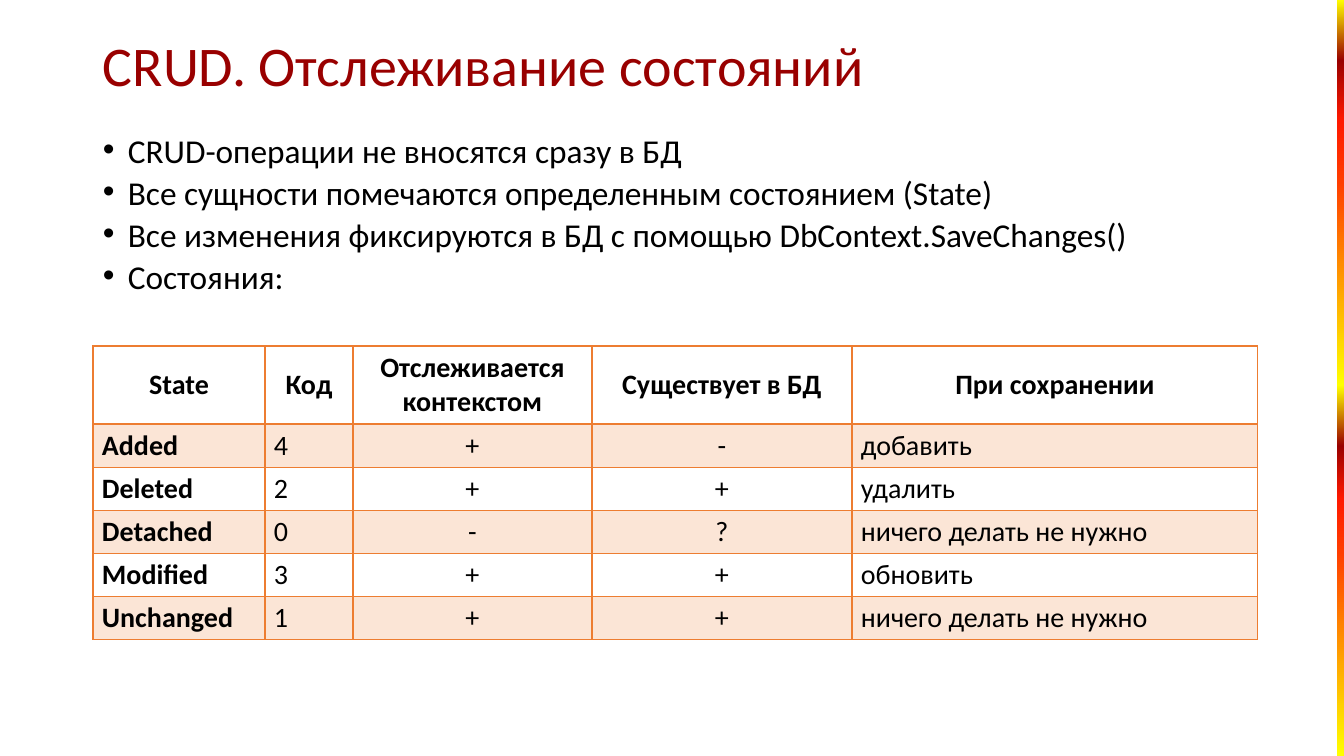
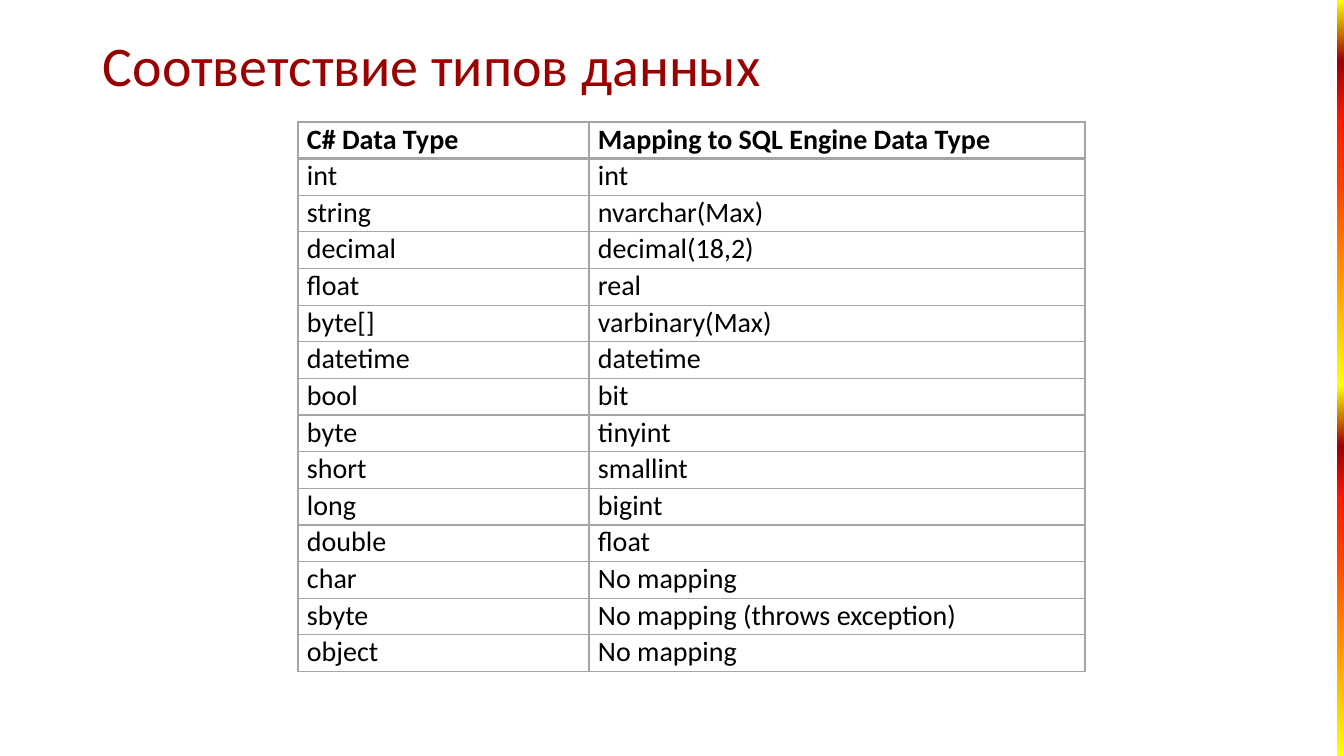
from lxml.etree import SubElement
from pptx import Presentation
from pptx.dml.color import RGBColor
from pptx.enum.shapes import MSO_SHAPE
from pptx.enum.text import MSO_ANCHOR, PP_ALIGN
from pptx.oxml.ns import qn
from pptx.util import Emu, Pt

FONT = "Calibri"
BLACK = RGBColor(0x00, 0x00, 0x00)
DARK_RED = RGBColor(0x99, 0x00, 0x00)
RED = RGBColor(0xFF, 0x19, 0x00)
FLAME = RGBColor(0xFF, 0x3D, 0x00)
YELLOW = RGBColor(0xFF, 0xFF, 0x00)
ORANGE = RGBColor(0xED, 0x7D, 0x31)
PALE_ORANGE = RGBColor(0xFB, 0xE5, 0xD6)
GRAY = RGBColor(0xA5, 0xA5, 0xA5)

SLIDE_WIDTH, SLIDE_HEIGHT = 1344, 756
BAND_WIDTH = 7
TEXT_LEFT, TEXT_WIDTH = 93, 1159
BAND_STOPS = [(0, YELLOW), (8, DARK_RED), (16, RED), (24, FLAME), (51, YELLOW),
              (59, DARK_RED), (66, RED), (73, FLAME), (100, YELLOW)]


def px(length):
    return Emu(round(length * 914400 / 100.8))


def add_grid(slide, left, top, column_widths, row_heights, rows, line_color,
             stripe=None, centered=(), header_align=PP_ALIGN.LEFT,
             bold_column=None, line_spacing=1.0, margins=(4, 4)):
    frame = slide.shapes.add_table(len(rows), len(column_widths), px(left), px(top),
                                   px(sum(column_widths)), px(sum(row_heights)))
    table = frame.table
    table.first_row = table.horz_banding = False
    for column, width in zip(table.columns, column_widths):
        column.width = px(width)
    for row, height in zip(table.rows, row_heights):
        row.height = px(height)
    for row_index, texts in enumerate(rows):
        header = row_index == 0
        for column_index, text in enumerate(texts):
            cell = table.cell(row_index, column_index)
            cell.vertical_anchor = MSO_ANCHOR.MIDDLE
            cell.margin_left = cell.margin_right = px(9)
            cell.margin_top, cell.margin_bottom = map(px, margins)
            cell.text_frame.text = text
            paragraph = cell.text_frame.paragraphs[0]
            paragraph.line_spacing = line_spacing
            if header:
                paragraph.alignment = header_align
            elif column_index in centered:
                paragraph.alignment = PP_ALIGN.CENTER
            font = paragraph.runs[0].font
            font.name, font.size = FONT, Pt(20)
            font.bold = header or column_index == bold_column
            font.color.rgb = BLACK

            # Borders, heavier below the header
            properties = cell._tc.get_or_add_tcPr()
            for side in ("lnL", "lnR", "lnT", "lnB"):
                heavy = (row_index, side) in ((0, "lnB"), (1, "lnT"))
                line = SubElement(properties, qn(f"a:{side}"), w=str(Pt(2 if heavy else 1)))
                solid = SubElement(line, qn("a:solidFill"))
                SubElement(solid, qn("a:srgbClr"), val=str(line_color))
            if stripe and row_index % 2:
                cell.fill.solid()
                cell.fill.fore_color.rgb = stripe
            else:
                cell.fill.background()


presentation = Presentation()
presentation.slide_width = px(SLIDE_WIDTH)
presentation.slide_height = px(SLIDE_HEIGHT)

# Shared band and title
slides = []
for title in ("CRUD. Отслеживание состояний", "Соответствие типов данных"):
    slide = presentation.slides.add_slide(presentation.slide_layouts[6])
    slides.append(slide)

    band = slide.shapes.add_shape(MSO_SHAPE.RECTANGLE, px(SLIDE_WIDTH - BAND_WIDTH), 0,
                                  px(BAND_WIDTH), px(SLIDE_HEIGHT))
    band.shadow.inherit = False
    band.line.fill.background()
    band.fill.gradient()
    band.fill.gradient_angle = 270
    stops = band.element.spPr.find(f".//{qn('a:gsLst')}")
    stops.clear()
    for position, color in BAND_STOPS:
        stop = SubElement(stops, qn("a:gs"), pos=str(position * 1000))
        SubElement(stop, qn("a:srgbClr"), val=str(color))

    title_box = slide.shapes.add_textbox(px(TEXT_LEFT), px(15), px(TEXT_WIDTH), px(107))
    title_box.text_frame.word_wrap = True
    title_box.text_frame.vertical_anchor = MSO_ANCHOR.MIDDLE
    title_box.text_frame.text = title
    paragraph = title_box.text_frame.paragraphs[0]
    paragraph.line_spacing = 0.9
    font = paragraph.runs[0].font
    font.name, font.size = FONT, Pt(40)
    font.color.rgb = DARK_RED

states_slide, types_slide = slides

# Slide 1: bullets
bullets = [
    "CRUD-операции не вносятся сразу в БД",
    "Все сущности помечаются определенным состоянием (State)",
    "Все изменения фиксируются в БД с помощью DbContext.SaveChanges()",
    "Состояния:",
]
bullet_box = states_slide.shapes.add_textbox(px(TEXT_LEFT), px(136), px(TEXT_WIDTH), px(171))
bullet_box.text_frame.word_wrap = True
bullet_box.text_frame.text = "\n".join(bullets)
for paragraph in bullet_box.text_frame.paragraphs:
    paragraph.line_spacing = 0.7
    paragraph.space_before = Pt(10)
    font = paragraph.runs[0].font
    font.name, font.size = FONT, Pt(23.8)
    font.color.rgb = BLACK
    properties = paragraph._p.get_or_add_pPr()
    properties.set("marL", str(px(25)))
    properties.set("indent", str(-px(25)))
    SubElement(properties, qn("a:buFont"), typeface="Arial")
    SubElement(properties, qn("a:buChar"), char="•")

# Slide 1: entity states
states = [
    ("State", "Код", "Отслеживается контекстом", "Существует в БД", "При сохранении"),
    ("Added", "4", "+", "-", "добавить"),
    ("Deleted", "2", "+", "+", "удалить"),
    ("Detached", "0", "-", "?", "ничего делать не нужно"),
    ("Modified", "3", "+", "+", "обновить"),
    ("Unchanged", "1", "+", "+", "ничего делать не нужно"),
]
state_row_height = 216 / (len(states) - 1)
add_grid(states_slide, TEXT_LEFT, 346, [172, 88, 239, 260, 406],
         [78] + [state_row_height] * (len(states) - 1), states, ORANGE,
         stripe=PALE_ORANGE, centered=(2, 3), header_align=PP_ALIGN.CENTER, bold_column=0)

# Slide 2: data types
types = [
    ("C# Data Type", "Mapping to SQL Engine Data Type"),
    ("int", "int"),
    ("string", "nvarchar(Max)"),
    ("decimal", "decimal(18,2)"),
    ("float", "real"),
    ("byte[]", "varbinary(Max)"),
    ("datetime", "datetime"),
    ("bool", "bit"),
    ("byte", "tinyint"),
    ("short", "smallint"),
    ("long", "bigint"),
    ("double", "float"),
    ("char", "No mapping"),
    ("sbyte", "No mapping (throws exception)"),
    ("object", "No mapping"),
]
add_grid(types_slide, 298, 122, [291, 496], [550 / len(types)] * len(types), types, GRAY,
         line_spacing=0.8, margins=(5, 4))

presentation.save("out.pptx")
